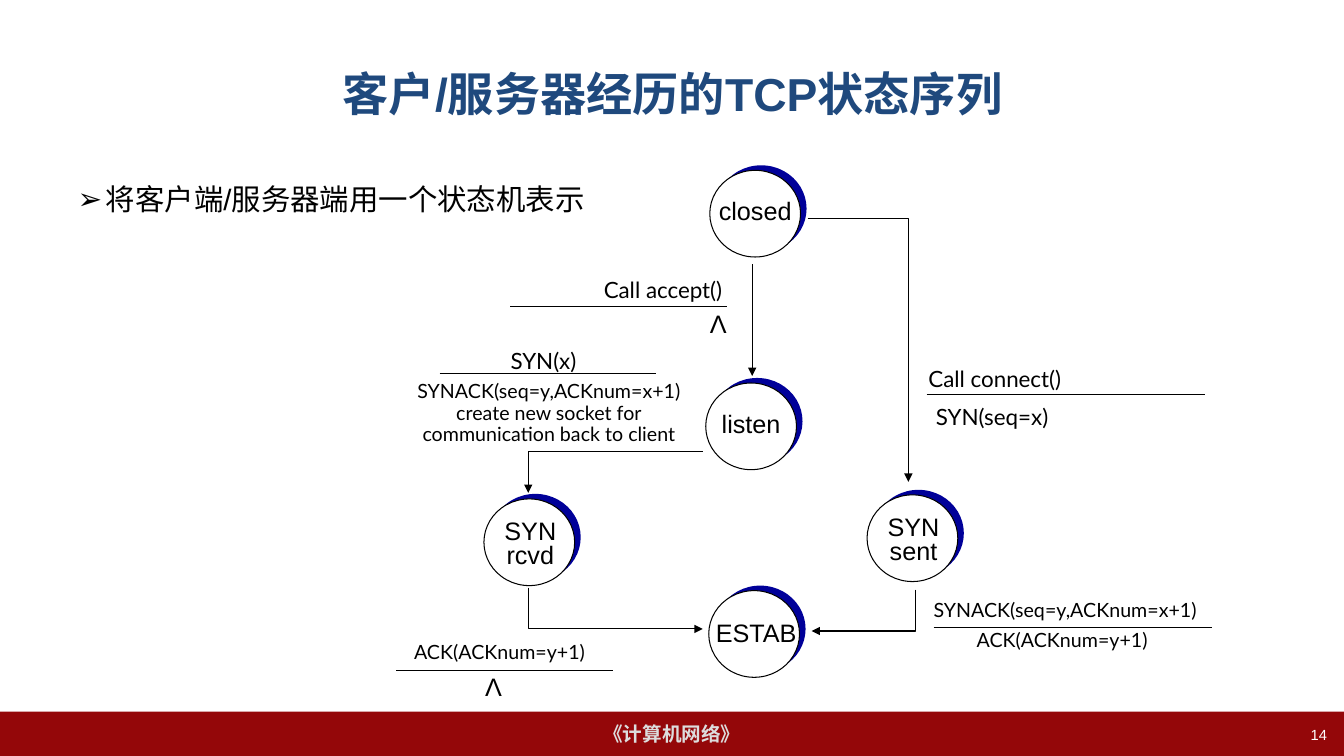
from pptx import Presentation
from pptx.dml.color import RGBColor
from pptx.enum.shapes import MSO_CONNECTOR, MSO_SHAPE
from pptx.enum.text import MSO_ANCHOR, MSO_AUTO_SIZE, PP_ALIGN
from pptx.oxml.ns import qn
from pptx.util import Inches, Pt
from lxml.etree import SubElement

BLACK = RGBColor(0x00, 0x00, 0x00)
WHITE = RGBColor(0xFF, 0xFF, 0xFF)
NAVY = RGBColor(0x00, 0x00, 0x99)
BLUE = RGBColor(0x1F, 0x49, 0x7D)
RED = RGBColor(0x94, 0x07, 0x09)
GREY = RGBColor(0xDD, 0xDD, 0xDD)
LEFT, MID, RIGHT = PP_ALIGN.LEFT, PP_ALIGN.CENTER, PP_ALIGN.RIGHT

# Content
TITLE = "客户/服务器经历的TCP状态序列"
POINT = "将客户端/服务器端用一个状态机表示"
FOOTER = "《计算机网络》"
PAGE = "14"

# States: lines, circle left and top, label box
STATES = [
    (["closed"], (7.04, 1.69), (7.03, 1.89, 0.92, 0.4), 1.0),
    (["listen"], (7.0, 3.8), (7.06, 4.0, 0.78, 0.4), 1.0),
    (["SYN", "rcvd"], (4.8, 4.95), (4.9, 5.12, 0.72, 0.58), 0.8),
    (["SYN", "sent"], (8.6, 4.91), (8.7, 5.08, 0.72, 0.58), 0.8),
    (["ESTAB"], (7.03, 5.86), (6.99, 6.13, 1.02, 0.34), 0.8),
]
# Arrows: points from tail to tip
ARROWS = [
    [(7.46, 2.62), (7.46, 3.73)],
    [(8.01, 2.17), (9.01, 2.17), (9.01, 4.78)],
    [(6.97, 4.48), (5.24, 4.48), (5.24, 4.89)],
    [(5.24, 5.83), (5.24, 6.24), (6.97, 6.24)],
    [(9.08, 5.85), (9.08, 6.26), (8.05, 6.26)],
]
# Rules between event and action: left, top, width
RULES = [(9.19, 3.91, 2.76), (5.06, 3.04, 2.15), (4.36, 3.71, 2.15),
         (9.26, 6.23, 2.76), (3.93, 6.65, 2.15)]
# Events and actions: lines, box, font, size, alignment, line spacing
LABELS = [
    (["Call accept()"], (5.89, 2.69, 1.54, 0.37), "Lato", 16, LEFT, 1.0),
    (["Λ"], (6.94, 3.01, 0.37, 0.4), "Arial", 18, MID, 1.0),
    (["Call connect()"], (9.11, 3.57, 3.16, 0.37), "Lato", 16, LEFT, 1.0),
    (["SYN(seq=x)"], (9.15, 3.95, 1.38, 0.37), "Lato", 16, MID, 1.0),
    (["SYN(x)"], (4.95, 3.39, 0.88, 0.37), "Lato", 16, MID, 1.0),
    (["SYNACK(seq=y,ACKnum=x+1)", "create new socket for",
      "communication back to client"],
     (4.02, 3.74, 2.85, 0.73), "Lato", 14, MID, 0.9),
    (["SYNACK(seq=y,ACKnum=x+1)"], (9.14, 5.91, 2.85, 0.52), "Lato", 14, MID, 0.9),
    (["ACK(ACKnum=y+1)"], (9.58, 6.21, 1.91, 0.52), "Lato", 14, MID, 0.9),
    (["ACK(ACKnum=y+1)"], (4.0, 6.33, 1.91, 0.52), "Lato", 14, MID, 0.9),
    (["Λ"], (4.71, 6.61, 0.37, 0.4), "Arial", 18, MID, 1.0),
]

deck = Presentation()
deck.slide_width, deck.slide_height = Inches(13.33), Inches(7.5)
slide = deck.slides.add_slide(deck.slide_layouts[1])
shapes = slide.shapes


def box(nums):
    return [Inches(n) for n in nums]


def place(shape, nums):
    for name, num in zip(("left", "top", "width", "height"), box(nums)):
        setattr(shape, name, num)


def write(shape, lines, font, align, space=1.0, anchor=MSO_ANCHOR.TOP, wrap=False):
    frame = shape.text_frame
    frame.text = "\n".join(lines)
    look = {"word_wrap": wrap, "vertical_anchor": anchor,
            "auto_size": MSO_AUTO_SIZE.NONE}
    for key, val in look.items():
        setattr(frame, key, val)
    for para in frame.paragraphs:
        para.alignment, para.line_spacing = align, space
        run = para.runs[0].font
        for key, val in font.items():
            if key == "color":
                run.color.rgb = val
            else:
                setattr(run, key, val)


def style(name, size, color=BLACK, bold=False):
    return {"name": name, "size": Pt(size), "color": color, "bold": bold}


def solid(kind, nums, fill, line=None):
    shape = shapes.add_shape(kind, *box(nums))
    shape.shadow.inherit = False
    shape.fill.solid()
    shape.fill.fore_color.rgb = fill
    if line is None:
        shape.line.fill.background()
    else:
        ink(shape, line)
    return shape


def ink(shape, color=BLACK):
    shape.line.color.rgb = color
    shape.line.width = Pt(0.75)


def draw(points, tip=False):
    spots = [box(p) for p in points]
    if len(spots) == 2:
        line = shapes.add_connector(MSO_CONNECTOR.STRAIGHT, *spots[0], *spots[1])
        SubElement(line._element.spPr, qn("a:effectLst"))
    else:
        path = shapes.build_freeform(*spots[0])
        path.add_line_segments(spots[1:], close=False)
        line = path.convert_to_shape()
        line.fill.background()
        line.shadow.inherit = False
    ink(line)
    if tip:
        SubElement(line.line._get_or_add_ln(), qn("a:tailEnd"), type="triangle")


# Title and bullet
title, body = shapes.title, slide.placeholders[1]
place(title, (0.67, 0.3, 12, 1.25))
write(title, [TITLE], style("Arial", 33, BLUE, True), MID,
      anchor=MSO_ANCHOR.MIDDLE, wrap=True)
place(body, (0.67, 1.75, 12, 0.42))
write(body, [POINT], style("Arial", 21), LEFT, wrap=True)
para = body.text_frame.paragraphs[0]
para.space_before = Pt(0)
props = para._p.get_or_add_pPr()
props.set("marL", str(Inches(0.28)))
props.set("indent", str(-Inches(0.28)))
SubElement(props, qn("a:buFont"), typeface="Arial")
SubElement(props, qn("a:buChar"), char="➢")

# Footer band and page number
band = solid(MSO_SHAPE.RECTANGLE, (0, 7.06, 13.33, 0.44), RED)
write(band, [FOOTER], style("Arial", 14, GREY, True), MID, anchor=MSO_ANCHOR.MIDDLE)
page = shapes.add_textbox(*box((10.15, 7.15, 3.11, 0.35)))
write(page, [PAGE], style("Arial", 10.5, WHITE), RIGHT, wrap=True)

# State circles, each over an offset disc
for lines, (x, y), area, space in STATES:
    solid(MSO_SHAPE.OVAL, (x + 0.06, y - 0.05, 0.9, 0.86), NAVY)
    solid(MSO_SHAPE.OVAL, (x, y, 0.9, 0.86), WHITE, BLACK)
    write(shapes.add_textbox(*box(area)), lines, style("Arial", 18), MID, space)

# Arrows, rules and their labels
for points in ARROWS:
    draw(points, tip=True)
for x, y, width in RULES:
    draw([(x, y), (x + width, y)])
for lines, area, face, size, align, space in LABELS:
    write(shapes.add_textbox(*box(area)), lines, style(face, size), align, space,
          wrap=align == LEFT)

deck.save("out.pptx")
